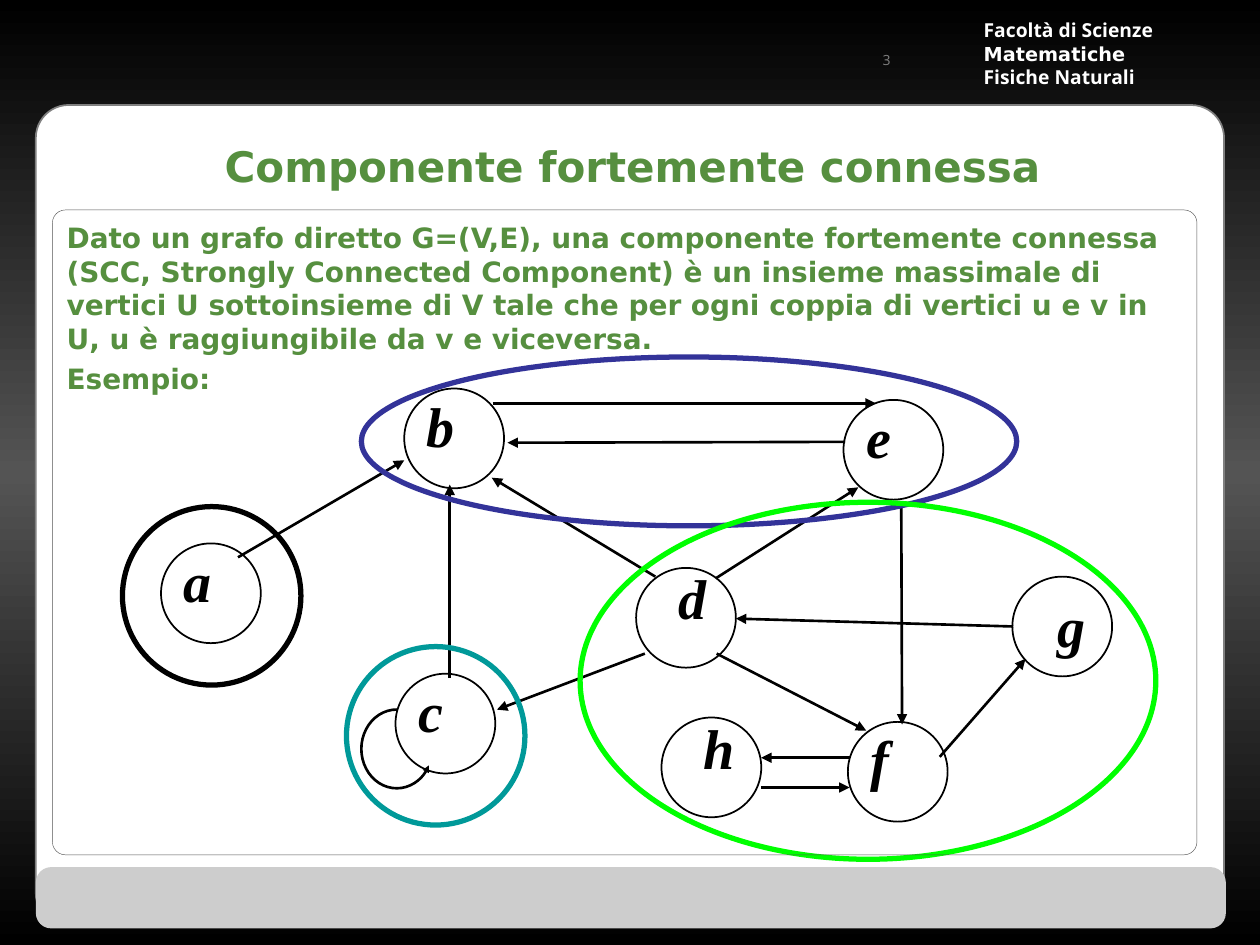
from copy import deepcopy
from dataclasses import dataclass

from lxml.etree import SubElement
from pptx import Presentation
from pptx.dml.color import RGBColor
from pptx.enum.shapes import MSO_CONNECTOR, MSO_SHAPE as SHAPE
from pptx.enum.text import MSO_ANCHOR as ANCHOR, PP_ALIGN as ALIGN
from pptx.oxml.ns import qn
from pptx.util import Pt


@dataclass(frozen=True)
class Theme:
    black: str = "000000"
    white: str = "FFFFFF"
    green: str = "568F3F"
    dark_gray: str = "545454"
    gray: str = "808080"
    light_gray: str = "CDCDCD"
    blue: str = "333399"
    teal: str = "009999"
    lime: str = "00FF00"
    sans: str = "DejaVu Sans"
    header_font: str = "Open Sans"
    serif: str = "Times New Roman"
    title_size: int = 24
    body_size: int = 16
    header_size: int = 11
    number_size: int = 8
    node_size: int = 32


theme = Theme()
presentation = Presentation()
presentation.slide_width, presentation.slide_height = Pt(720), Pt(540)
slide = presentation.slides.add_slide(presentation.slide_layouts[6])


def add_outline(kind, box, fill=None, line=None, width=1, corner=None):
    shape = slide.shapes.add_shape(kind, *map(Pt, box))
    shape.shadow.inherit = False
    if corner is not None:
        shape.adjustments[0] = corner
    if fill:
        shape.fill.solid()
        shape.fill.fore_color.rgb = RGBColor.from_string(fill)
    else:
        shape.fill.background()
    if line:
        shape.line.color.rgb = RGBColor.from_string(line)
        shape.line.width = Pt(width)
    else:
        shape.line.fill.background()
    return shape


def add_text(box, lines, font, size, color, bold=True, align=ALIGN.LEFT,
             anchor=ANCHOR.TOP, wrap=True):
    frame = slide.shapes.add_textbox(*map(Pt, box)).text_frame
    frame.word_wrap = wrap
    frame.vertical_anchor = anchor
    frame.text = "\n".join(lines)
    for paragraph in frame.paragraphs:
        paragraph.alignment = align
        for run in paragraph.runs:
            run.font.name, run.font.size, run.font.bold = font, Pt(size), bold
            run.font.color.rgb = RGBColor.from_string(color)
    return frame


# Background: black at both ends, gray in the middle
background = slide.background.fill
background.gradient()
background.gradient_angle = 90
for stop, position in zip(background.gradient_stops, (0, 1)):
    stop.color.rgb = RGBColor.from_string(theme.black)
    stop.position = position
stop_list = next(slide.element.iter(qn("a:gsLst")))
stop_list.insert(1, deepcopy(stop_list[0]))
middle_stop = background.gradient_stops[1]
middle_stop.position = 0.5
middle_stop.color.rgb = RGBColor.from_string(theme.dark_gray)

# White panel, footer bar and header
add_outline(SHAPE.ROUNDED_RECTANGLE, (20.5, 60, 679, 469), theme.white, theme.gray, corner=0.04)
add_outline(SHAPE.ROUNDED_RECTANGLE, (20.5, 495.5, 680, 35), theme.light_gray, corner=0.25)
header = add_text((555, 15.5, 132, 30),
                  ["Facoltà di Scienze", "Matematiche", "Fisiche Naturali"],
                  theme.header_font, theme.header_size, theme.white, anchor=ANCHOR.MIDDLE)
header.paragraphs[1].runs[0].font.name = theme.sans

# Graph nodes: circle position and offset of the letter inside it
node_diameter = 57
nodes = {
    "d": (363.5, 324.5, 19, 0),
    "b": (231, 222, 8, 4),
    "f": (484.5, 412.5, 8, 4),
    "e": (482, 228.5, 8, 4),
    "a": (92, 310.5, 8, 4),
    "c": (226, 385, 8, 4),
    "g": (578.5, 329.5, 21, 11),
    "h": (378, 410, 19, 0),
}
for name, (left, top, shift_x, shift_y) in nodes.items():
    add_outline(SHAPE.OVAL, (left, top, node_diameter, node_diameter), line=theme.black)
    frame = add_text((left + shift_x, top + shift_y, 26, 38), [name], theme.serif,
                     theme.node_size, theme.black, wrap=False)
    frame.margin_left = frame.margin_right = Pt(5)
    frame.margin_top = frame.margin_bottom = Pt(2.5)
    frame.paragraphs[0].line_spacing = 0.88
    frame.paragraphs[0].runs[0].font.italic = True

# Directed edges: start and end points
edges = [
    (368.5, 373.5, 284, 405.5),  # d to c
    (409, 330.5, 490.5, 278.5),  # d to e
    (537, 432.5, 586, 376.5),    # f to g
    (515, 287.5, 515.5, 414),    # e to f
    (409.5, 373.5, 495, 417.5),  # d to f
    (579, 358, 420.5, 353.5),    # g to d
    (374.5, 329.5, 281, 273),    # d to b
    (136, 318.5, 231, 263),      # a to b
    (257, 387.5, 257, 277),      # c to b
    (483, 252.5, 290, 253),      # e to b
    (281.5, 230.5, 500.5, 230.5),  # b to e
    (435, 450, 485.5, 450),      # h to f
    (485.5, 433, 435, 433),      # f to h
]
for points in edges:
    edge = slide.shapes.add_connector(MSO_CONNECTOR.STRAIGHT, *map(Pt, points))
    edge.line.color.rgb = RGBColor.from_string(theme.black)
    edge.line.width = Pt(1.5)
    SubElement(edge.line._get_or_add_ln(), qn("a:tailEnd"), type="triangle")
    SubElement(edge._element.spPr, qn("a:effectLst"))

# Loop on c: arc from 27 to 270 degrees, with the arrow at its start
loop = add_outline(SHAPE.ARC, (206.5, 405.5, 40.5, 45), line=theme.black, width=1.5)
for index, degrees in enumerate((27, 270)):
    loop.adjustments[index] = degrees * 0.6
SubElement(loop.line._get_or_add_ln(), qn("a:headEnd"), type="triangle", w="sm", len="sm")

# Strongly connected components
components = [
    ((70, 289.5, 102, 102), theme.black),
    ((206.5, 204, 374.5, 96.5), theme.blue),
    ((198, 369.5, 102, 102), theme.teal),
    ((331.5, 287, 329, 204), theme.lime),
]
for box, color in components:
    add_outline(SHAPE.OVAL, box, line=color, width=3)

# Title, definition, frame and slide number
add_text((25, 60.5, 673, 68), ["Componente fortemente connessa"], theme.sans,
         theme.title_size, theme.green, align=ALIGN.CENTER, anchor=ANCHOR.MIDDLE)
definition = add_text(
    (31, 122.5, 648, 362),
    ["Dato un grafo diretto G=(V,E), una componente fortemente connessa "
     "(SCC, Strongly Connected Component) è un insieme massimale di vertici U "
     "sottoinsieme di V tale che per ogni coppia di vertici u e v in U, "
     "u è raggiungibile da v e viceversa.",
     "Esempio:"],
    theme.sans, theme.body_size, theme.green)
definition.paragraphs[1].space_before = Pt(4)
add_outline(SHAPE.ROUNDED_RECTANGLE, (30, 120, 654, 368.5), line=theme.dark_gray,
            width=0.25, corner=0.02)
add_text((462, 16.5, 54, 36), ["3"], theme.header_font, theme.number_size, theme.gray,
         bold=False, align=ALIGN.RIGHT, anchor=ANCHOR.MIDDLE)

presentation.save("out.pptx")
